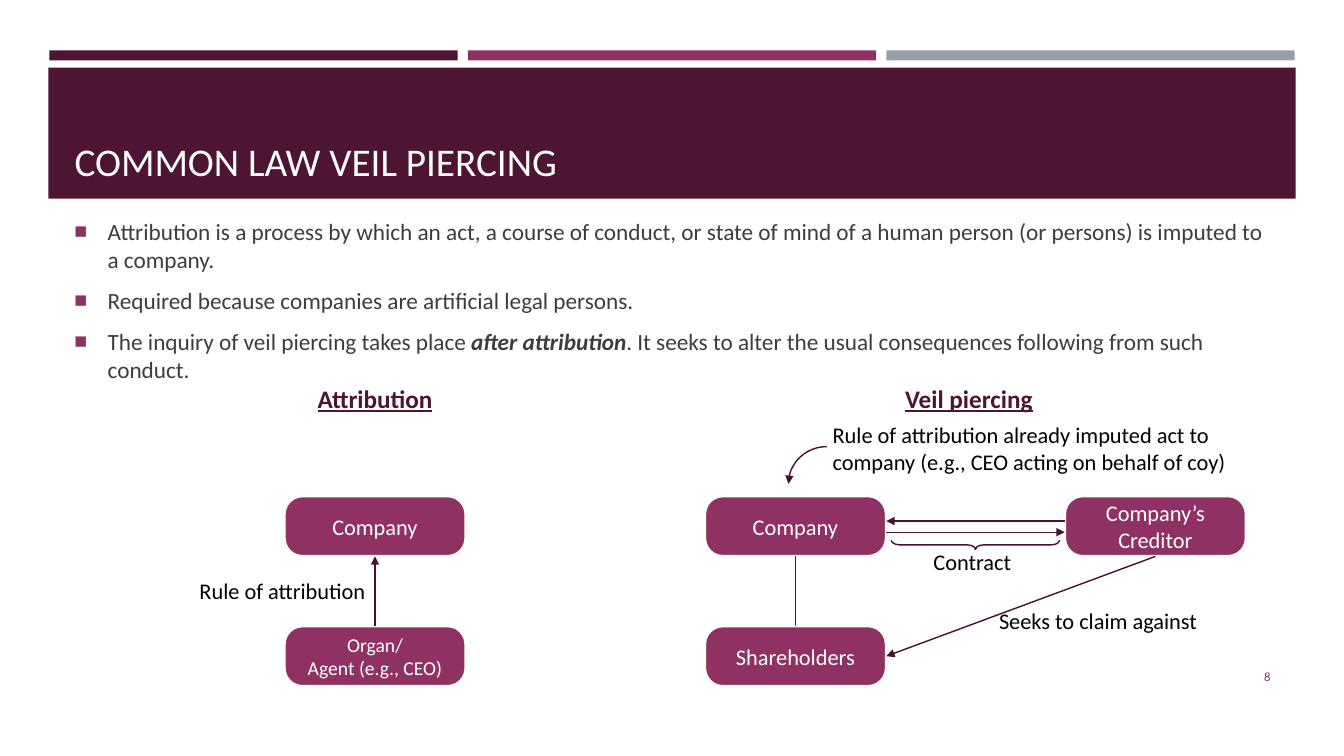
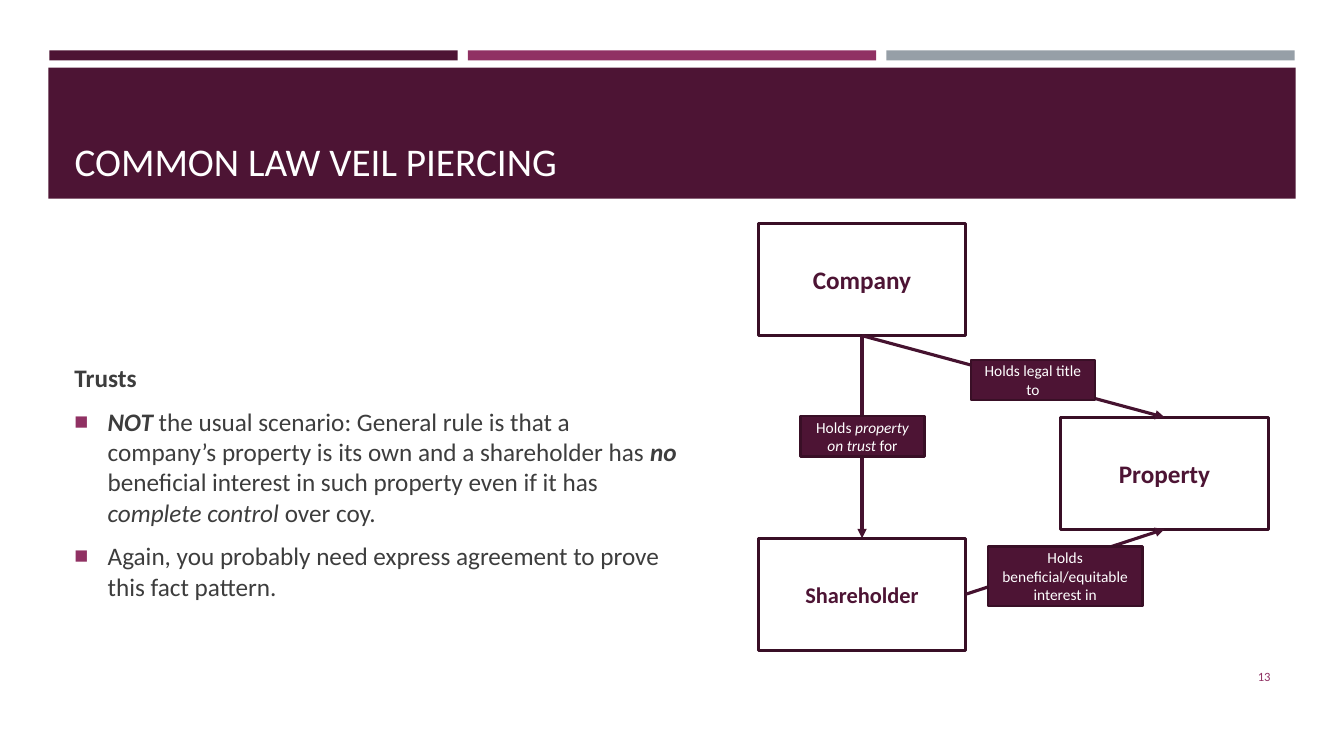
from lxml import etree
from pptx import Presentation
from pptx import util as u
from pptx.dml.color import RGBColor
from pptx.enum import shapes, text
from pptx.oxml.ns import qn

FONT = "Calibri"
PLUM, BERRY, GREY, WHITE = "4D1434", "903163", "969FA7", "FFFFFF"
INK, BODY, STROKE, BORDER = "000000", "3D3D3D", "45122F", "390F26"
TOP, BOTTOM, RIGHT = 0, 2, 3
LEFT_ALIGN, CENTER = text.PP_ALIGN.LEFT, text.PP_ALIGN.CENTER
MIDDLE = text.MSO_ANCHOR.MIDDLE
NODE_SIZE, ENTITY_SIZE = (1.8, 0.6), (2.06, 1.11)


def color(value):
    """Return a colour from its hex string."""
    return RGBColor.from_string(value)


def place(shape, left, top, width, height):
    """Set a shape's position and size in inches."""
    shape.left, shape.top = u.Inches(left), u.Inches(top)
    shape.width, shape.height = u.Inches(width), u.Inches(height)


def style_font(paragraph, size, tint, bold=None, underline=None):
    """Set the font of a whole paragraph."""
    font = paragraph.font
    font.name, font.size = FONT, u.Pt(size)
    font.bold, font.underline = bold, underline
    font.color.rgb = color(tint)


def fill_paragraph(paragraph, content):
    """Add plain text, or a list of strings and (text, flags) spans."""
    for span in [content] if isinstance(content, str) else content:
        words, flags = (span, "") if isinstance(span, str) else span
        run = paragraph.add_run()
        run.text = words
        if "b" in flags:
            run.font.bold = True
        if "i" in flags:
            run.font.italic = True


def write(shape, paragraphs, size, tint, align=CENTER, anchor=MIDDLE, wrap=True, **font):
    """Fill a shape with uniformly styled paragraphs."""
    frame = shape.text_frame
    frame.word_wrap, frame.vertical_anchor = wrap, anchor
    for index, content in enumerate(paragraphs):
        paragraph = frame.add_paragraph() if index else frame.paragraphs[0]
        paragraph.alignment = align
        fill_paragraph(paragraph, content)
        style_font(paragraph, size, tint, **font)


def add_block(page, kind, area, fill=None, line=None, weight=1):
    """Draw a preset shape with an optional fill and outline."""
    block = page.shapes.add_shape(kind, *map(u.Inches, area))
    block.shadow.inherit = False
    if fill:
        block.fill.solid()
        block.fill.fore_color.rgb = color(fill)
    else:
        block.fill.background()
    if line:
        block.line.color.rgb = color(line)
        block.line.width = u.Pt(weight)
    else:
        block.line.fill.background()
    return block


def add_label(page, area, content, size=16, tint=INK, **options):
    """Add a text box with one paragraph."""
    box = page.shapes.add_textbox(*map(u.Inches, area))
    write(box, [content], size, tint, **options)
    return box


def add_note(page, area, content, wrap=False):
    """Add a left-aligned diagram annotation."""
    add_label(page, area, content, align=LEFT_ALIGN, anchor=text.MSO_ANCHOR.TOP, wrap=wrap)


def add_arrowhead(shape, end):
    """Add a triangular arrowhead at headEnd or tailEnd."""
    outline = shape.element.spPr.find(qn("a:ln"))
    etree.SubElement(outline, qn("a:" + end), type="triangle")


def add_line(page, start=(0, 0), end=(0, 0), weight=1, arrow=True):
    """Draw a straight line, by default with an arrow at its end."""
    points = map(u.Inches, (*start, *end))
    line = page.shapes.add_connector(shapes.MSO_CONNECTOR.STRAIGHT, *points)
    line.line.color.rgb = color(STROKE)
    line.line.width = u.Pt(weight)
    if arrow:
        add_arrowhead(line, "tailEnd")
    etree.SubElement(line.element.spPr, qn("a:effectLst"))
    return line


def link(page, source, source_site, target, target_site, **options):
    """Join connection sites of two shapes with a line."""
    line = add_line(page, **options)
    line.begin_connect(source, source_site)
    line.end_connect(target, target_site)


def add_bullet(paragraph):
    """Give a paragraph a square berry bullet and hanging indent."""
    properties = paragraph._p.get_or_add_pPr()
    indent = u.Inches(0.33)
    properties.set("marL", str(indent))
    properties.set("indent", str(-indent))
    tint = etree.SubElement(properties, qn("a:buClr"))
    etree.SubElement(tint, qn("a:srgbClr"), val=BERRY)
    etree.SubElement(properties, qn("a:buSzPct"), val="92000")
    etree.SubElement(properties, qn("a:buFont"), typeface="Arial")
    etree.SubElement(properties, qn("a:buChar"), char="■")


def add_body(page, area, bullets, size, heading=None):
    """Add a bulleted list, with an optional bold heading."""
    frame = page.shapes.add_textbox(*map(u.Inches, area)).text_frame
    frame.word_wrap, frame.vertical_anchor = True, MIDDLE
    for index, content in enumerate(([heading] if heading else []) + bullets):
        paragraph = frame.add_paragraph() if index else frame.paragraphs[0]
        if index:
            paragraph.space_before = u.Pt(round(size * 0.2, 1))
        paragraph.space_after = u.Pt(6)
        is_heading = content is heading
        if not is_heading:
            add_bullet(paragraph)
        fill_paragraph(paragraph, content)
        style_font(paragraph, size, BODY, bold=is_heading or None)


def add_bands(page):
    """Draw the header bands and move them to the page's layout."""
    bands = [((0.49 + 4.15 * index, 0.5, 4.05, 0.1), tint)
             for index, tint in enumerate((PLUM, BERRY, GREY))]
    bands.append(((0.48, 0.67, 12.37, 1.3), PLUM))
    tree = page.slide_layout.shapes.element
    for index, (area, tint) in enumerate(bands):
        band = add_block(page, shapes.MSO_SHAPE.RECTANGLE, area, tint)
        band.element.nvSpPr.cNvPr.set("id", str(101 + index))
        tree.insert(2 + index, band.element)


def add_page(deck, number):
    """Add a page with its title and number."""
    page = deck.slides.add_slide(deck.slide_layouts[5])
    title = page.shapes.title
    place(title, 0.64, 0.77, 12.06, 1.11)
    write(title, ["COMMON LAW VEIL PIERCING"], 28, WHITE,
          align=LEFT_ALIGN, anchor=text.MSO_ANCHOR.BOTTOM)
    add_label(page, (11.55, 6.51, 1.15, 0.4), number, 9, BERRY, align=text.PP_ALIGN.RIGHT)
    return page


def add_node(page, left, top, lines, size=16):
    """Add a rounded diagram node."""
    node = add_block(page, shapes.MSO_SHAPE.ROUNDED_RECTANGLE,
                     (left, top, *NODE_SIZE), BERRY, WHITE, 2)
    node.adjustments[0] = 0.3
    write(node, lines, size, WHITE)
    return node


def add_entity(page, left, top, name, size=18):
    """Add an outlined party or asset box."""
    entity = add_block(page, shapes.MSO_SHAPE.RECTANGLE,
                       (left, top, *ENTITY_SIZE), WHITE, BORDER, 2.25)
    write(entity, [name], size, PLUM, bold=True)
    return entity


def add_relation(page, area, content):
    """Add a dark label that sits on a link."""
    tag = add_block(page, shapes.MSO_SHAPE.RECTANGLE, area, PLUM, BORDER, 1.75)
    write(tag, [content], 11, WHITE)


def build_attribution(page):
    """Build the comparison of attribution and veil piercing."""
    add_body(page, (0.64, 2.1, 12.06, 1.75), [
        "Attribution is a process by which an act, a course of conduct, or state of mind "
        "of a human person (or persons) is imputed to a company.",
        "Required because companies are artificial legal persons.",
        ["The inquiry of veil piercing takes place ", ("after attribution", "bi"),
         ". It seeks to alter the usual consequences following from such conduct."],
    ], 16.6)
    for left, heading in ((2.88, "Attribution"), (8.77, "Veil piercing")):
        add_label(page, (left, 3.65, 1.68, 0.6), heading, 18, PLUM, bold=True, underline=True)

    upper, lower = 4.92, 6.21
    company = add_node(page, 2.82, upper, ["Company"])
    agent = add_node(page, 2.82, lower, ["Organ/", "Agent (e.g., CEO)"], 14)
    debtor = add_node(page, 6.99, upper, ["Company"])
    creditor = add_node(page, 10.56, upper, ["Company’s Creditor"])
    shareholders = add_node(page, 6.99, lower, ["Shareholders"])

    link(page, agent, TOP, company, BOTTOM)
    link(page, debtor, BOTTOM, shareholders, TOP, arrow=False)
    link(page, creditor, BOTTOM, shareholders, RIGHT)
    add_line(page, (8.79, 5.28), (10.56, 5.28))
    add_line(page, (10.56, 5.17), (8.79, 5.17))

    brace = add_block(page, shapes.MSO_SHAPE.LEFT_BRACE, (9.63, 4.57, 0.09, 1.67), line=STROKE)
    brace.adjustments[0] = 0.93
    arc = add_block(page, shapes.MSO_SHAPE.ARC, (7.83, 4.42, 0.74, 0.76), line=STROKE)
    add_arrowhead(arc, "headEnd")
    brace.rotation = arc.rotation = 270

    add_note(page, (1.88, 5.68, 1.88, 0.37), "Rule of attribution")
    add_note(page, (9.16, 5.39, 1.03, 0.37), "Contract")
    add_note(page, (9.81, 5.97, 2.18, 0.37), "Seeks to claim against")
    add_note(page, (8.16, 4.13, 4.36, 0.64),
             "Rule of attribution already imputed act to company "
             "(e.g., CEO acting on behalf of coy)", wrap=True)


def build_trusts(page):
    """Build the trust scenario and its diagram."""
    add_body(page, (0.64, 2.38, 6.23, 4.8), [
        [("NOT", "bi"), " the usual scenario: General rule is that a company’s property "
         "is its own and a shareholder has ", ("no", "bi"),
         " beneficial interest in such property even if it has ",
         ("complete control ", "i"), "over coy."],
        "Again, you probably need express agreement to prove this fact pattern.",
    ], 18, heading="Trusts")

    company = add_entity(page, 7.52, 2.22, "Company")
    shareholder = add_entity(page, 7.52, 5.34, "Shareholder", 16)
    assets = add_entity(page, 10.52, 4.14, "Property")
    for source, source_site, target, target_site in (
            (company, BOTTOM, shareholder, TOP),
            (company, BOTTOM, assets, TOP),
            (shareholder, RIGHT, assets, BOTTOM)):
        link(page, source, source_site, target, target_site, weight=2.25)

    add_relation(page, (7.94, 4.13, 1.23, 0.4), ["Holds ", ("property on trust ", "i"), "for"])
    add_relation(page, (9.63, 3.57, 1.23, 0.4), "Holds legal title to")
    add_relation(page, (9.8, 5.42, 1.53, 0.59), "Holds beneficial/equitable interest in")


def main():
    """Build and save the deck."""
    deck = Presentation()
    deck.slide_width, deck.slide_height = u.Inches(13.33), u.Inches(7.5)
    attribution = add_page(deck, "8")
    add_bands(attribution)
    build_attribution(attribution)
    build_trusts(add_page(deck, "13"))
    deck.save("out.pptx")


if __name__ == "__main__":
    main()
